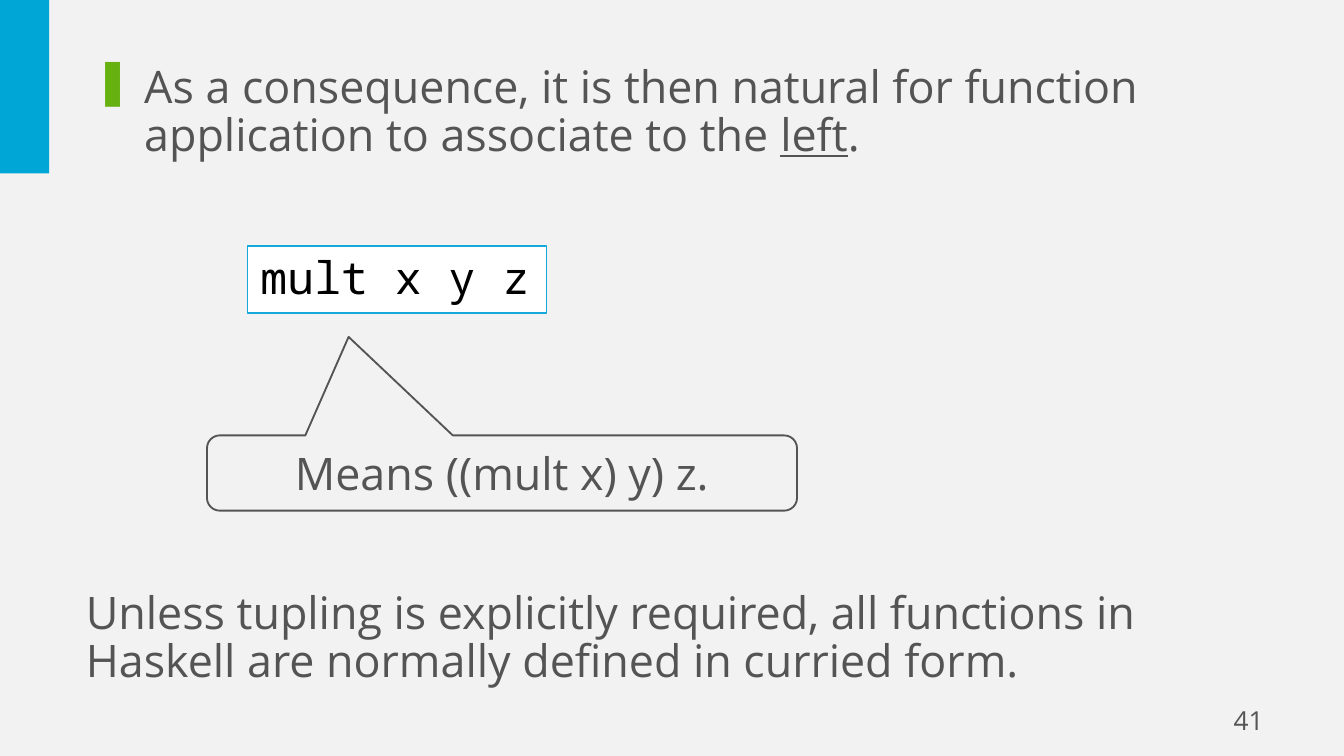
from dataclasses import dataclass
from lxml.etree import SubElement
from pptx import Presentation
from pptx.dml.color import RGBColor as Rgb
from pptx.enum.shapes import MSO_SHAPE as Kind
from pptx.enum.text import MSO_ANCHOR as Anchor, MSO_AUTO_SIZE as Fit, PP_ALIGN as Align
from pptx.oxml.ns import qn
from pptx.util import Pt


@dataclass(frozen=True)
class Theme:
    """Colours, fonts and type sizes."""
    back: str = "F2F2F2"
    band: str = "00A6D6"
    edge: str = "15A8DB"
    mark: str = "66B010"
    ink: str = "545454"
    code: str = "000000"
    paper: str = "FFFFFF"
    sans: str = "Open Sans"
    mono: str = "Noto Sans Mono"
    body: int = 24
    small: int = 14


def apply(item, vals):
    """Set each attribute of item from a dict."""
    for key, val in vals.items():
        setattr(item, key, val)


class Page:
    """Holds the theme and the current slide."""

    def __init__(self, slide, theme):
        """Keep the slide and paint its background."""
        self.slide, self.theme = slide, theme
        fill = slide.background.fill
        fill.solid()
        fill.fore_color.rgb = Rgb.from_string(theme.back)

    def shape(self, kind, box, fill=None, line=None, width=1):
        """Add a preset shape with plain fill and line."""
        item = self.slide.shapes.add_shape(kind, *map(Pt, box))
        item.shadow.inherit = False
        if fill:
            item.fill.solid()
            item.fill.fore_color.rgb = Rgb.from_string(fill)
        else:
            item.fill.background()
        if line:
            item.line.color.rgb = Rgb.from_string(line)
            item.line.width = Pt(width)
        else:
            item.line.fill.background()
        return item

    def box(self, box):
        """Add an empty text box."""
        return self.slide.shapes.add_textbox(*map(Pt, box))

    def label(self, item, runs, frame=None, para=None, font=None, ink=None):
        """Fill an item with one paragraph of (text, underline) runs."""
        look = self.theme
        text = item.text_frame
        apply(text, {"word_wrap": True, "auto_size": Fit.NONE,
                     "vertical_anchor": Anchor.MIDDLE, **(frame or {})})
        line = text.paragraphs[0]
        apply(line, {"alignment": Align.LEFT, **(para or {})})
        for words, under in runs:
            run = line.add_run()
            run.text = words
            apply(run.font, {"name": look.sans, "size": Pt(look.body),
                             "underline": under, **(font or {})})
            run.font.color.rgb = Rgb.from_string(ink or look.ink)
        return line

    def bullet(self, line, sign, indent):
        """Give a paragraph a coloured bullet and a hanging indent."""
        props = line._p.get_or_add_pPr()
        props.set("marL", str(Pt(indent)))
        props.set("indent", str(-Pt(indent)))
        tint = SubElement(props, qn("a:buClr"))
        SubElement(tint, qn("a:srgbClr"), val=self.theme.mark)
        SubElement(props, qn("a:buChar"), char=sign)


def build():
    """Build and save the slide."""
    deck = Presentation()
    apply(deck, {"slide_width": Pt(720), "slide_height": Pt(405)})
    look = Theme()
    page = Page(deck.slides.add_slide(deck.slide_layouts[6]), look)
    tight = {"line_spacing": 0.9}

    page.shape(Kind.RECTANGLE, (0, 0, 26.4, 92.9), look.band)
    page.label(page.box((516, 375, 168, 21.6)), [("41", False)],
               para={"alignment": Align.RIGHT}, font={"size": Pt(look.small)})

    lead = page.label(
        page.box((43.2, 31, 643.7, 63.4)),
        [("As a consequence, it is then natural for function application "
          "to associate to the ", False), ("left", True), (".", False)],
        frame={"vertical_anchor": Anchor.TOP},
        para={"space_before": Pt(4.8), **tight})
    page.bullet(lead, "\u275a", 27)

    code = page.shape(Kind.RECTANGLE, (132.5, 131.8, 160.5, 36),
                      look.paper, look.edge, 0.75)
    page.label(code, [("mult x y z", False)], frame={"word_wrap": False},
               para=tight, font={"name": look.mono}, ink=look.code)

    note = page.shape(Kind.ROUNDED_RECTANGULAR_CALLOUT,
                      (110.9, 233.3, 316.1, 40.3), line=look.ink)
    for spot, val in enumerate((-0.26, -1.81, 0.17)):
        note.adjustments[spot] = val
    page.label(note, [("Means ((mult x) y) z.", False)],
               para={"alignment": Align.CENTER})

    page.label(page.box((38.9, 309.6, 653.8, 65.5)),
               [("Unless tupling is explicitly required, all functions in "
                 "Haskell are normally defined in curried form.", False)],
               para=tight)
    deck.save("out.pptx")


build()
